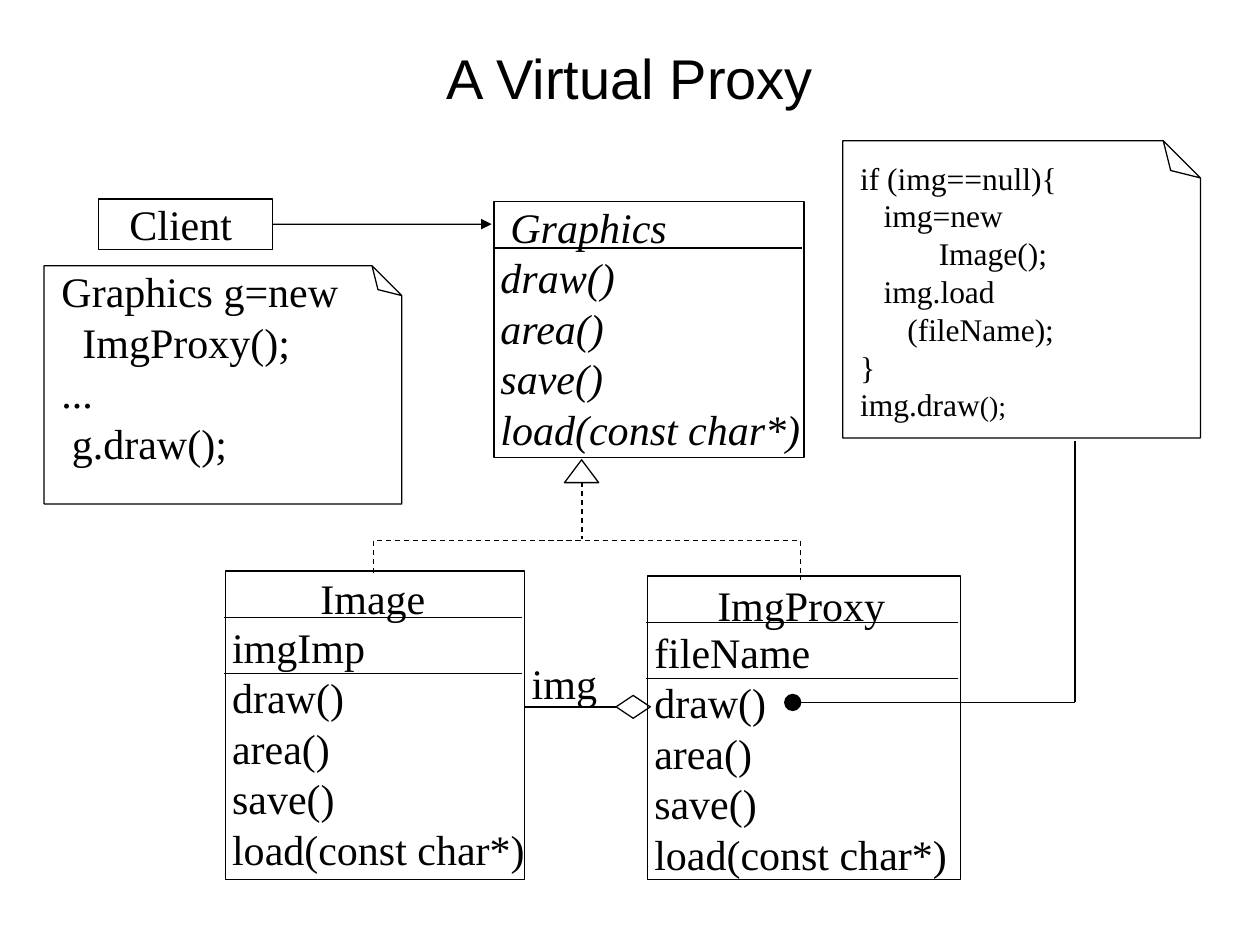
from lxml import etree
from pptx import Presentation
from pptx import util as u
from pptx.dml import color
from pptx.enum import dml, shapes, text
from pptx.oxml import ns

SHAPE = shapes.MSO_SHAPE


def rgb(value):
    return color.RGBColor.from_string(value)


def adjust(item, name, share):
    """Set one adjustment of a preset outline, as a share of its size."""
    geometry = item._element.spPr.find(ns.qn("a:prstGeom"))
    values = geometry.find(ns.qn("a:avLst"))
    if values is None:
        values = etree.SubElement(geometry, ns.qn("a:avLst"))
    etree.SubElement(values, ns.qn("a:gd"), name=name, fmla=f"val {round(share * 100000)}")


def write(box, lines, font="Times New Roman", size=24, ink="000000", italic=False,
          align=text.PP_ALIGN.LEFT, anchor=text.MSO_ANCHOR.TOP, margin_left=0):
    """Fill a box; a line is a string or a list of (text, size) spans."""
    frame = box.text_frame
    frame.word_wrap = True
    frame.vertical_anchor = anchor
    frame.margin_left = u.Cm(margin_left)
    frame.margin_top = frame.margin_right = frame.margin_bottom = 0
    for number, line in enumerate(lines):
        para = frame.paragraphs[0] if number == 0 else frame.add_paragraph()
        para.alignment = align
        para.line_spacing = u.Pt(size * 1.2)
        for words, points in [(line, size)] if isinstance(line, str) else line:
            span = para.add_run()
            span.text = words
            span.font.name = font
            span.font.size = u.Pt(points)
            span.font.italic = italic
            span.font.color.rgb = rgb(ink)


class Diagram:
    ink = "000000"
    stroke = 0.75

    def __init__(self, page):
        self.page = page

    def title(self, words):
        box = self.page.shapes.title
        box.left, box.top, box.width, box.height = map(u.Cm, (1.27, 0.76, 22.86, 1.57))
        write(box, [words], font="Arial", size=32, align=text.PP_ALIGN.CENTER,
              anchor=text.MSO_ANCHOR.MIDDLE)

    def outline(self, item):
        item.line.color.rgb = rgb(self.ink)
        item.line.width = u.Pt(self.stroke)

    def shape(self, kind, left, top, width, height):
        item = self.page.shapes.add_shape(kind, *map(u.Cm, (left, top, width, height)))
        item.shadow.inherit = False
        item.fill.background()
        self.outline(item)
        return item

    def label(self, left, top, width, lines, size=24, **style):
        height = len(lines) * size * 1.2 / 72 * 2.54
        box = self.page.shapes.add_textbox(*map(u.Cm, (left, top, width, height)))
        write(box, lines, size=size, **style)

    def line(self, start, end, dashed=False, tip=None, tip_size="med",
             kind=shapes.MSO_CONNECTOR.STRAIGHT):
        item = self.page.shapes.add_connector(kind, *map(u.Cm, (*start, *end)))
        self.outline(item)
        if dashed:
            item.line.dash_style = dml.MSO_LINE.DASH
        properties = item._element.spPr
        if tip:
            etree.SubElement(properties.find(ns.qn("a:ln")), ns.qn("a:tailEnd"),
                             type=tip, w=tip_size, len=tip_size)
        etree.SubElement(properties, ns.qn("a:effectLst"))
        return item

    def bracket(self, start, end, bend):
        """Elbow turned a quarter to the left, so that its middle runs across."""
        item = self.line(start, end, dashed=True, kind=shapes.MSO_CONNECTOR.ELBOW)
        item._element.spPr.find(ns.qn("a:xfrm")).set("rot", "16200000")
        adjust(item, "adj1", bend)

    def note(self, left, top, width, height, lines, inset=0, size=24):
        paper = self.shape(SHAPE.FOLDED_CORNER, left, top, width, height)
        adjust(paper, "adj", 0.125)
        paper._element.spPr.find(ns.qn("a:xfrm")).set("flipV", "1")
        self.label(left + 0.35, top + inset, width - 0.8, lines, size=size)

    def class_box(self, left, top, width, height, name, indent, members,
                  dividers=(0.94,), drop=0, italic=False):
        self.shape(SHAPE.RECTANGLE, left, top, width, height)
        self.label(left + indent, top + drop, 4, [name], italic=italic)
        self.label(left + 0.13, top + 1.02, width + 0.5, members, italic=italic)
        for offset in dividers:
            self.line((left - 0.03, top + offset), (left + width - 0.05, top + offset))


def main():
    deck = Presentation()
    deck.slide_width, deck.slide_height = u.Cm(25.4), u.Cm(19.05)
    diagram = Diagram(deck.slides.add_slide(deck.slide_layouts[5]))
    diagram.title("A Virtual Proxy")

    operations = ["draw()", "area()", "save()", "load(const char*)"]
    two_dividers = (0.94, 2.07)
    diagram.class_box(9.96, 4.06, 6.25, 5.16, "Graphics", 0.33, operations, italic=True)
    diagram.class_box(4.55, 11.51, 6.02, 6.22, "Image", 1.91, ["imgImp", *operations],
                      two_dividers, drop=0.03)
    diagram.class_box(13.06, 11.61, 6.3, 6.12, "ImgProxy", 1.4, ["fileName", *operations],
                      two_dividers, drop=0.08)

    diagram.shape(SHAPE.ISOSCELES_TRIANGLE, 11.38, 9.27, 0.69, 0.46)
    diagram.line((11.73, 9.72), (11.73, 10.87), dashed=True)
    diagram.bracket((11.91, 7.32), (11.76, 15.93), bend=-4.4)

    diamond = diagram.shape(SHAPE.DIAMOND, 12.42, 14.02, 0.69, 0.46)
    diagram.line((12.42, 14.25), (10.57, 14.25)).begin_connect(diamond, 1)
    diagram.label(10.72, 13.26, 1.6, ["img"])

    client = diagram.shape(SHAPE.RECTANGLE, 1.98, 4.01, 3.51, 1.02)
    write(client, ["Client"], margin_left=0.63)
    diagram.line((5.49, 4.52), (9.91, 4.52), tip="triangle").begin_connect(client, 3)

    diagram.note(0.89, 5.36, 7.21, 4.8,
                 ["Graphics g=new", "  ImgProxy();", "...", " g.draw();"])
    diagram.note(16.99, 2.84, 7.21, 5.99,
                 ["if (img==null){", "   img=new", "          Image();", "   img.load",
                  "      (fileName);", "}", [("img.draw", 18), ("();", 16)]],
                 inset=0.36, size=18)
    diagram.line((21.67, 8.89), (21.67, 14.16))
    diagram.line((21.67, 14.16), (15.98, 14.16), tip="oval", tip_size="lg")

    deck.save("out.pptx")


if __name__ == "__main__":
    main()
